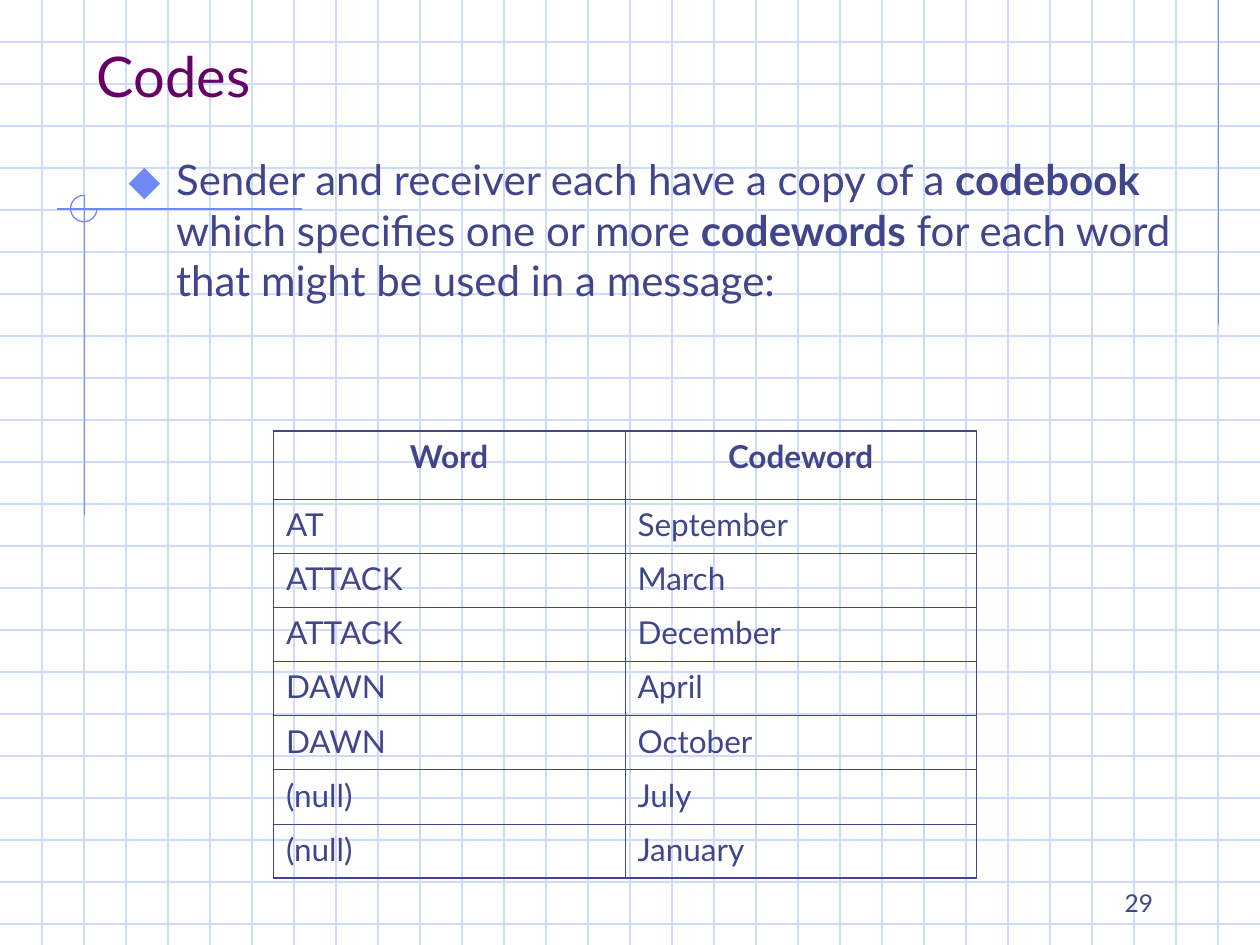
from lxml import etree
from pptx import Presentation
from pptx.dml.color import RGBColor
from pptx.enum.shapes import MSO_CONNECTOR, MSO_SHAPE
from pptx.enum.text import MSO_ANCHOR, PP_ALIGN
from pptx.oxml.ns import qn
from pptx.util import Inches, Pt

FONT = "Lato"
COLORS = {"grid": "CFDBFD", "accent": "6F89F7", "title": "660066", "text": "40458C"}
WIDTH, HEIGHT = 10, 7.5
GRID_STEP = 1 / 3
OUTER, INNER = 1.08, 0.45

INTRO = [
    ("Sender and receiver each have a copy of a ", False),
    ("codebook", True),
    (" which specifies one or more ", False),
    ("codewords", True),
    (" for each word that might be used in a message:", False),
]
CODES = [
    ("Word", "Codeword"),
    ("AT", "September"),
    ("ATTACK", "March"),
    ("ATTACK", "December"),
    ("DAWN", "April"),
    ("DAWN", "October"),
    ("(null)", "July"),
    ("(null)", "January"),
]


def rgb(name):
    return RGBColor.from_string(COLORS[name])


def sub(parent, tag, **attrs):
    return etree.SubElement(parent, qn(tag), attrs)


def style_font(font, size, color, bold=False):
    font.name, font.size, font.bold = FONT, Pt(size), bold
    font.color.rgb = rgb(color)


def add_line(s, x1, y1, x2, y2, color):
    line = s.shapes.add_connector(
        MSO_CONNECTOR.STRAIGHT, Inches(x1), Inches(y1), Inches(x2), Inches(y2))
    line.line.color.rgb = rgb(color)
    line.line.width = Pt(0.75)
    sub(line._element.spPr, "a:effectLst")


def add_grid(s):
    for i in range(1, int(HEIGHT / GRID_STEP) + 1):
        add_line(s, 0, i * GRID_STEP, WIDTH, i * GRID_STEP, "grid")
    for i in range(1, round(WIDTH / GRID_STEP)):
        add_line(s, i * GRID_STEP, 0, i * GRID_STEP, HEIGHT, "grid")


def add_crosshair(s):
    add_line(s, 9.67, 0, 9.67, 2.58, "accent")
    add_line(s, 2.4, 1.66, 0.45, 1.66, "accent")
    add_line(s, 0.67, 1.55, 0.67, 4.09, "accent")
    arc = s.shapes.add_shape(
        MSO_SHAPE.ARC, Inches(0.56), Inches(1.55), Inches(0.21), Inches(0.21))
    # Angles in units of 1/600 degree: three quarters of a circle, open at top right
    arc.adjustments[0] = 0
    arc.adjustments[1] = 162
    arc.shadow.inherit = False
    arc.fill.background()
    arc.line.color.rgb = rgb("accent")
    arc.line.width = Pt(0.75)


def add_text(s, box, runs, size, color, anchor=MSO_ANCHOR.TOP, align=PP_ALIGN.LEFT):
    """Add a one-paragraph box from (text, bold) runs and return the paragraph."""
    tf = s.shapes.add_textbox(*map(Inches, box)).text_frame
    tf.word_wrap = True
    tf.vertical_anchor = anchor
    p = tf.paragraphs[0]
    p.alignment = align
    for text, bold in runs:
        r = p.add_run()
        r.text = text
        style_font(r.font, size, color, bold)
    return p


def add_bullet(p):
    pPr = p._p.get_or_add_pPr()
    pPr.set("marL", str(Inches(0.38)))
    pPr.set("indent", str(Inches(-0.38)))
    sub(sub(pPr, "a:buClr"), "a:srgbClr", val=COLORS["accent"])
    sub(pPr, "a:buSzPct", val="110000")
    sub(pPr, "a:buFont", typeface=FONT)
    sub(pPr, "a:buChar", char="⬥")


def set_borders(cell, left, right, top, bottom):
    """Draw the four cell borders with the given widths in points."""
    tcPr = cell._tc.get_or_add_tcPr()
    for side, width in zip("LRTB", (left, right, top, bottom)):
        ln = sub(tcPr, f"a:ln{side}", w=str(Pt(width)))
        sub(sub(ln, "a:solidFill"), "a:srgbClr", val=COLORS["text"])


def add_code_table(s):
    n_rows, n_cols = len(CODES), len(CODES[0])
    table = s.shapes.add_table(
        n_rows, n_cols, Inches(2.17), Inches(3.42), Inches(5.58), Inches(3.56)).table
    table.first_row = table.horz_banding = False
    for i, row in enumerate(CODES):
        table.rows[i].height = Inches(0.43 if i else 0.54)
        for j, text in enumerate(row):
            cell = table.cell(i, j)
            edges = (j == 0, j == n_cols - 1, i == 0, i == n_rows - 1)
            set_borders(cell, *(OUTER if edge else INNER for edge in edges))
            cell.fill.background()
            cell.text_frame.text = text
            p = cell.text_frame.paragraphs[0]
            p.alignment = PP_ALIGN.LEFT if i else PP_ALIGN.CENTER
            style_font(p.runs[0].font, 18, "text", bold=i == 0)


def main():
    prs = Presentation()
    prs.slide_width, prs.slide_height = Inches(WIDTH), Inches(HEIGHT)
    s = prs.slides.add_slide(prs.slide_layouts[6])
    add_grid(s)
    add_crosshair(s)
    add_text(s, (0.67, 0.33, 8.5, 0.58), [("Codes", False)], 32, "title",
             MSO_ANCHOR.BOTTOM)
    add_bullet(add_text(s, (0.92, 1.17, 8.5, 5.42), INTRO, 24, "text"))
    add_code_table(s)
    add_text(s, (7.17, 6.83, 2.08, 0.5), [("29", False)], 14, "text",
             MSO_ANCHOR.BOTTOM, PP_ALIGN.RIGHT)
    prs.save("out.pptx")


if __name__ == "__main__":
    main()
